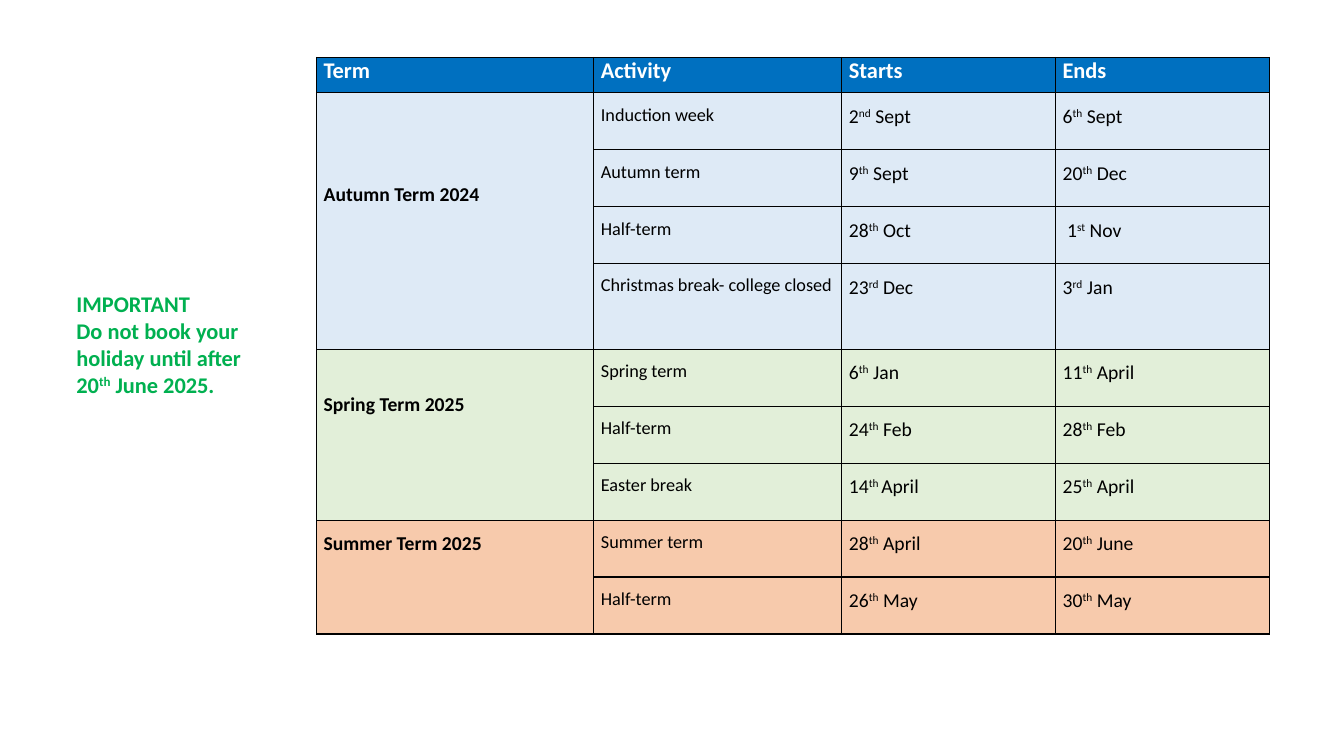
from lxml.etree import SubElement
from pptx import Presentation
from pptx.dml.color import RGBColor
from pptx.oxml.ns import qn
from pptx.util import Inches, Pt

FONT = "Calibri"
HEADS = ["Term", "Activity", "Starts", "Ends"]
WIDTHS = [2.75, 2.46, 2.12, 2.12]
HEAD_H, TALL_H = 0.35, 0.85
TALL_ROW = 4

# Each term: name, fill, space above the name, rows; ^ encloses superscripts
TERMS = [
    ("Autumn Term 2024", "DEEAF6", 0.78, [
        ("Induction week", "2^nd^ Sept", "6^th^ Sept"),
        ("Autumn term", "9^th^ Sept", "20^th^ Dec"),
        ("Half-term", "28^th^ Oct", " 1^st^ Nov"),
        ("Christmas break- college closed", "23^rd^ Dec", "3^rd^ Jan"),
    ]),
    ("Spring Term 2025", "E2EFD9", 0.31, [
        ("Spring term", "6^th^ Jan", "11^th^ April"),
        ("Half-term", "24^th^ Feb", "28^th^ Feb"),
        ("Easter break", "14^th ^April", "25^th^ April"),
    ]),
    ("Summer Term 2025", "F7CAAC", 0, [
        ("Summer term", "28^th^ April", "20^th^ June"),
        ("Half-term", "26^th^ May", "30^th^ May"),
    ]),
]


def paint(target, color):
    target.fill.solid()
    target.fill.fore_color.rgb = RGBColor.from_string(color)


def write(para, text, size, color="000000", bold=False):
    for i, part in enumerate(text.split("^")):
        run = para.add_run()
        run.text = part
        font = run.font
        font.name, font.size, font.bold = FONT, Pt(size), bold
        font.color.rgb = RGBColor.from_string(color)
        if i % 2:
            run._r.get_or_add_rPr().set("baseline", "30000")


def frame(cell):
    """Draw a thin black line on all four sides of a cell."""
    props = cell._tc.get_or_add_tcPr()
    for side in ("a:lnL", "a:lnR", "a:lnT", "a:lnB"):
        line = SubElement(props, qn(side), w=str(Pt(1)))
        fill = SubElement(line, qn("a:solidFill"))
        SubElement(fill, qn("a:srgbClr"), val="000000")


def style(cell, color):
    frame(cell)
    paint(cell, color)
    cell.margin_left = cell.margin_right = Inches(0.07)
    cell.margin_top = cell.margin_bottom = 0


def put(cell, text, size, bold=False):
    para = cell.text_frame.paragraphs[0]
    para.line_spacing = 1.5
    write(para, text, size, bold=bold)


def add_dates(slide, left, top, width, height):
    count = 1 + sum(len(rows) for *_, rows in TERMS)
    table = slide.shapes.add_table(
        count, len(HEADS), Inches(left), Inches(top),
        Inches(width), Inches(height)).table
    for col, size in zip(table.columns, WIDTHS):
        col.width = Inches(size)
    plain = (height - HEAD_H - TALL_H) / (count - 2)
    for i, row in enumerate(table.rows):
        row.height = Inches({0: HEAD_H, TALL_ROW: TALL_H}.get(i, plain))

    # Header row
    for cell, head in zip(table.rows[0].cells, HEADS):
        style(cell, "0070C0")
        write(cell.text_frame.paragraphs[0], head, 16, "FFFFFF", True)

    # Term blocks
    first = 1
    for name, color, gap, rows in TERMS:
        for r, texts in enumerate(rows, first):
            for cell in table.rows[r].cells:
                style(cell, color)
            for c, text in enumerate(texts, 1):
                put(table.cell(r, c), text, 13 if c == 1 else 14)
        last = first + len(rows) - 1
        term = table.cell(first, 0)
        term.merge(table.cell(last, 0))
        term.margin_top = Inches(gap)
        put(term, name, 14, bold=True)
        first = last + 1


def add_note(slide, left, top, width, height):
    box = slide.shapes.add_textbox(
        Inches(left), Inches(top), Inches(width), Inches(height))
    text = box.text_frame
    text.word_wrap = True
    write(text.paragraphs[0], "IMPORTANT", 16, "00B050", True)
    write(text.add_paragraph(),
          "Do not book your holiday until after 20^th^ June 2025.",
          16, "00B050", True)


def main():
    deck = Presentation()
    deck.slide_width, deck.slide_height = Inches(13.33), Inches(7.5)
    slide = deck.slides.add_slide(deck.slide_layouts[6])
    add_dates(slide, 3.14, 0.57, 9.45, 5.72)
    add_note(slide, 0.66, 2.83, 2.03, 1.18)
    deck.save("out.pptx")


if __name__ == "__main__":
    main()
